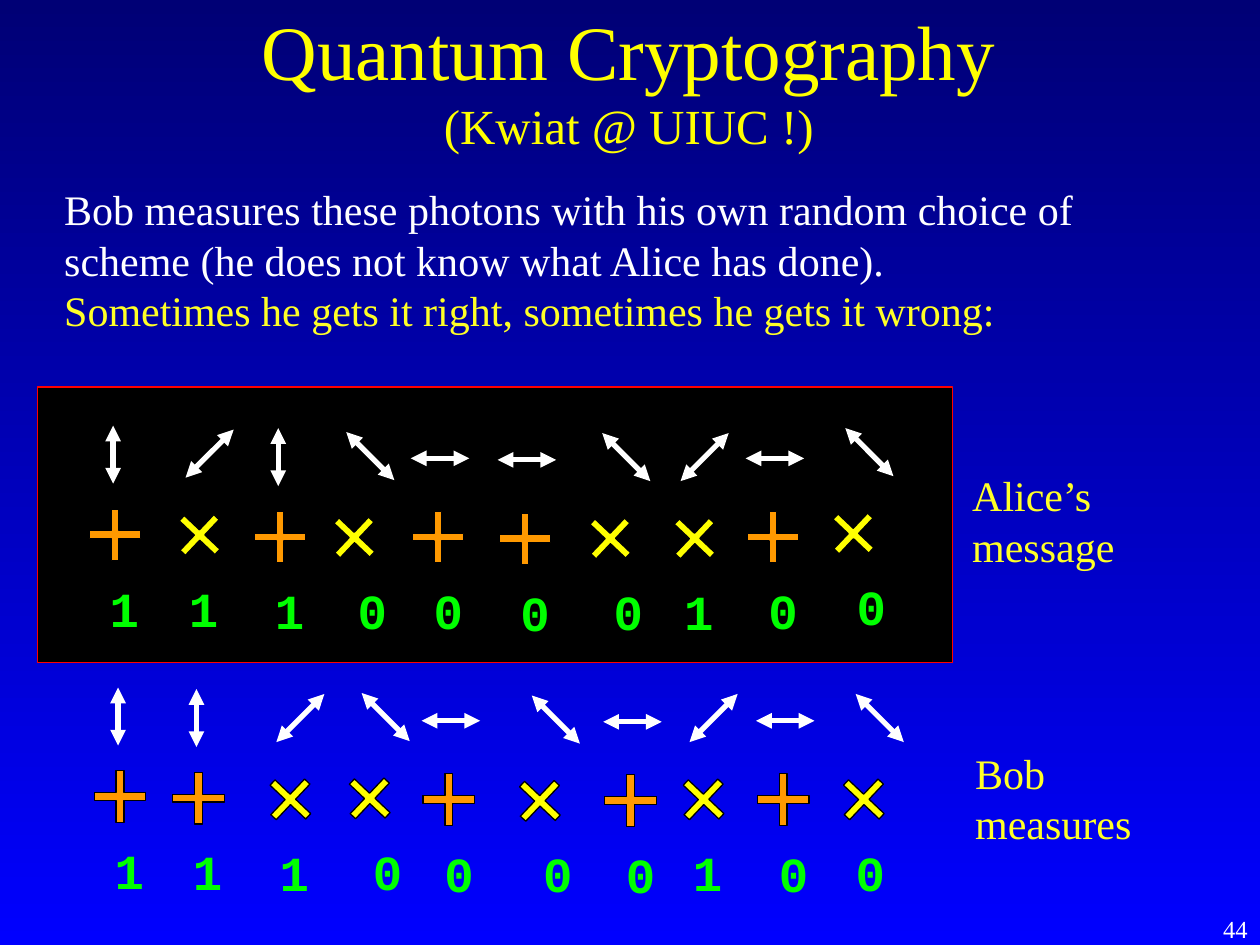
from lxml import etree
from pptx import Presentation
from pptx import util as u
from pptx.dml.color import RGBColor
from pptx.enum import shapes, text
from pptx.oxml.ns import qn

COLOURS = {
    "sky_top": "000075", "sky_bottom": "0000FF", "title": "FFFF00",
    "white": "FFFFFF", "label": "FFFF27", "black": "000000", "frame": "FF0000",
    "upright": "FF9900", "diagonal": "FFFF00", "bit": "00FF00",
}
SERIF = "Times New Roman"
MONO = "Courier New"

# Offsets in cm from the corner of the scheme sign:
# scheme, arrow start, arrow end, corner of the bit, bit
PHOTONS = {
    "vertical": ("upright", (0.48, -0.51), (0.48, -1.68), (0.16, 1.27), "1"),
    "horizontal": ("upright", (-0.03, -1.07), (1.15, -1.07), (0.18, 1.27), "0"),
    "rising": ("diagonal", (0.21, -0.66), (1.18, -1.63), (0.03, 1.24), "1"),
    "falling": ("diagonal", (0.33, -1.63), (1.3, -0.66), (0.31, 1.23), "0"),
}
SCHEMES = {"upright": (1.04, 0), "diagonal": (0.99, 313.4)}  # size, rotation

# Direction, corner of the scheme sign, sideways shift of the bit
ALICE = [
    ("vertical", 1.8, 10.26, 0), ("rising", 3.53, 10.29, 0),
    ("vertical", 5.13, 10.31, 0), ("falling", 6.65, 10.34, 0),
    ("horizontal", 8.31, 10.31, 0), ("horizontal", 10.06, 10.34, 0),
    ("falling", 11.81, 10.36, 0), ("rising", 13.51, 10.36, 0),
    ("horizontal", 15.06, 10.31, 0), ("falling", 16.71, 10.26, 0),
]
BOB = [
    ("vertical", 1.9, 15.54, 0), ("vertical", 3.48, 15.57, 0),
    ("rising", 5.36, 15.62, 0), ("falling", 6.96, 15.6, 0),
    ("horizontal", 8.53, 15.6, 0), ("falling", 10.39, 15.65, 0),
    ("horizontal", 12.19, 15.62, 0), ("rising", 13.69, 15.62, 0),
    ("horizontal", 15.27, 15.6, 0), ("falling", 16.92, 15.62, -0.23),
]


def rgb(name):
    return RGBColor.from_string(COLOURS[name])


def set_all(target, values):
    for name, value in values.items():
        setattr(target, name, value)


def place(shape, left, top, width, height):
    sides = {"left": left, "top": top, "width": width, "height": height}
    set_all(shape, {side: u.Cm(length) for side, length in sides.items()})


def add_lines(para, lines, colour, sizes, font=SERIF, bold=False):
    """Write the lines into one paragraph, with a line break between them."""
    for number, (line, size) in enumerate(zip(lines, sizes)):
        if number:
            para.add_line_break()
        span = para.add_run()
        span.text = line
        set_all(span.font, {"name": font, "size": u.Pt(size), "bold": bold})
        span.font.color.rgb = rgb(colour)


def add_label(page, at, lines, colour, size, font=SERIF, bold=False,
              wrap=False, align=text.PP_ALIGN.LEFT):
    box = page.shapes.add_textbox(*map(u.Cm, at))
    box.text_frame.word_wrap = wrap
    para = box.text_frame.paragraphs[0]
    para.alignment = align
    add_lines(para, lines, colour, [size] * len(lines), font, bold)


def add_preset(page, kind, at, fill, line):
    shape = page.shapes.add_shape(kind, *map(u.Cm, at))
    shape.shadow.inherit = False
    shape.fill.solid()
    shape.fill.fore_color.rgb = rgb(fill)
    shape.line.color.rgb = rgb(line)
    shape.line.width = u.Pt(0.75)
    return shape


def add_double_arrow(page, start, end):
    arrow = page.shapes.add_connector(
        shapes.MSO_CONNECTOR.STRAIGHT, *map(u.Cm, (*start, *end)))
    arrow.line.color.rgb = rgb("white")
    arrow.line.width = u.Pt(3)
    line = arrow.line._get_or_add_ln()
    for tag in ("a:headEnd", "a:tailEnd"):
        etree.SubElement(line, qn(tag), type="triangle")
    etree.SubElement(arrow._element.spPr, qn("a:effectLst"))


def add_photon(page, direction, left, top, shift):
    """Draw the polarisation arrow, the scheme sign below it and the bit."""
    scheme, start, end, (bit_left, bit_top), bit = PHOTONS[direction]
    size, rotation = SCHEMES[scheme]
    add_double_arrow(page, *[(left + x, top + y) for x, y in (start, end)])
    sign = add_preset(page, shapes.MSO_SHAPE.CROSS, (left, top, size, size),
                      scheme, "black")
    sign.adjustments[0] = 0.425
    sign.rotation = rotation
    add_label(page, (left + bit_left + shift, top + bit_top, 1.07, 1.45),
              [bit], "bit", 28, MONO, True)


def fill_background(page):
    fill = page.background.fill
    fill.gradient()
    fill.gradient_angle = 270
    for stop, name in zip(fill.gradient_stops, ("sky_top", "sky_bottom")):
        stop.color.rgb = rgb(name)


def fill_title(title):
    place(title, 1.88, 0, 21.59, 3.18)
    set_all(title.text_frame, {
        "vertical_anchor": text.MSO_ANCHOR.MIDDLE,
        "auto_size": text.MSO_AUTO_SIZE.NONE, "word_wrap": True})
    para = title.text_frame.paragraphs[0]
    para.alignment = text.PP_ALIGN.CENTER
    add_lines(para, ["Quantum Cryptography", "(Kwiat @ UIUC !)"],
              "title", [44, 28])


def fill_body(body):
    place(body, 1.04, 3.58, 20.85, 3.3)
    set_all(body.text_frame, {"auto_size": text.MSO_AUTO_SIZE.NONE,
                              "word_wrap": False})
    parts = [
        (["Bob measures these photons with his own random choice of",
          "scheme (he does not know what Alice has done)."], "white"),
        (["Sometimes he gets it right, sometimes he gets it wrong:"], "label"),
    ]
    body.text_frame.add_paragraph()
    for para, (lines, colour) in zip(body.text_frame.paragraphs, parts):
        para.space_before = u.Pt(0)
        properties = para._p.get_or_add_pPr()
        properties.set("marL", "0")
        properties.set("indent", "0")
        etree.SubElement(properties, qn("a:buNone"))
        add_lines(para, lines, colour, [24] * len(lines))


def main():
    deck = Presentation()
    set_all(deck, {"slide_width": u.Cm(25.4), "slide_height": u.Cm(19.05)})
    page = deck.slides.add_slide(deck.slide_layouts[1])
    fill_background(page)
    fill_title(page.shapes.title)
    fill_body(page.placeholders[1])
    add_preset(page, shapes.MSO_SHAPE.RECTANGLE, (0.76, 7.8, 18.44, 5.56),
               "black", "frame")
    for photon in ALICE + BOB:
        add_photon(page, *photon)
    add_label(page, (19.35, 9.35, 3.38, 2.29), ["Alice’s", "message"],
              "label", 24)
    add_label(page, (19.41, 14.94, 3.66, 2.29), ["Bob", "measures"],
              "label", 24)
    add_label(page, (20.12, 18.31, 5.28, 0.74), ["44"], "white", 14,
              wrap=True, align=text.PP_ALIGN.RIGHT)
    deck.save("out.pptx")


if __name__ == "__main__":
    main()
